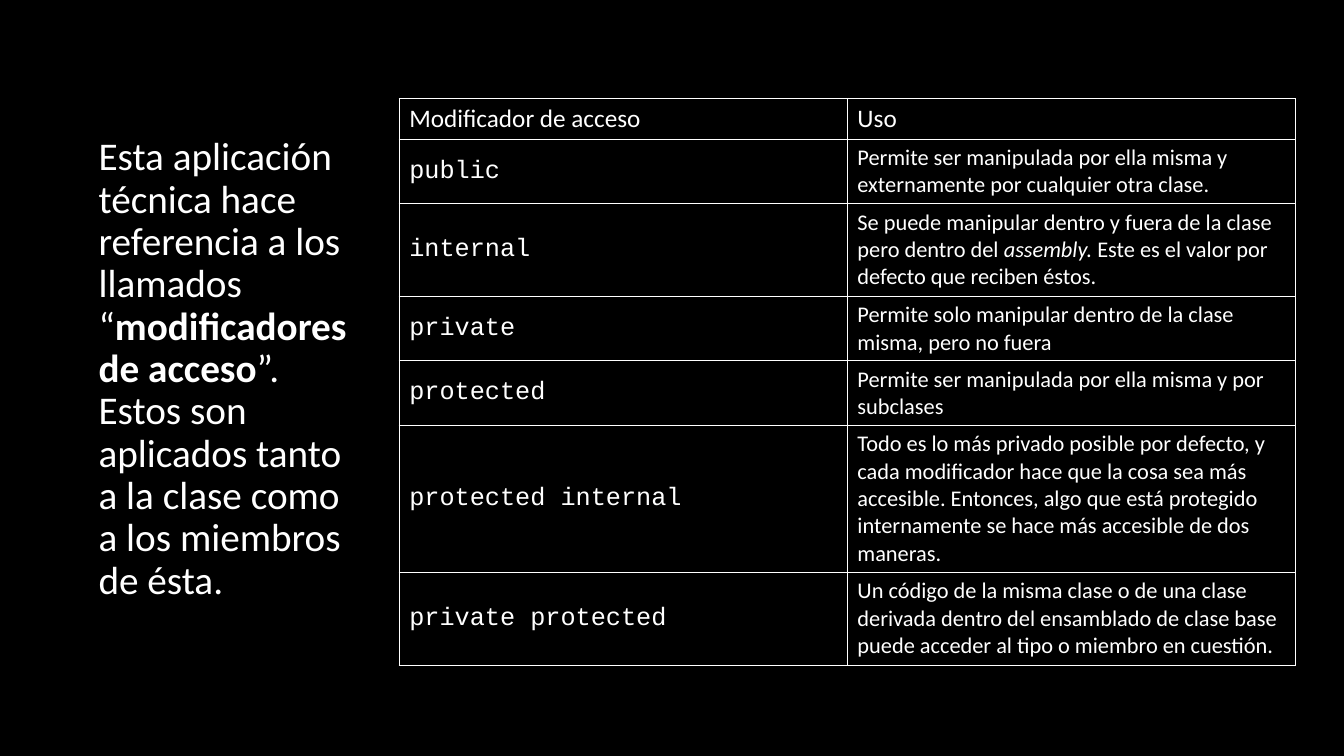
from dataclasses import dataclass

from lxml import etree
from pptx import Presentation
from pptx import util as u
from pptx.dml.color import RGBColor
from pptx.enum import text
from pptx.oxml import ns

BLACK, WHITE = "000000", "FFFFFF"
BODY_FONT, CODE_FONT = "Calibri", "Courier New"


@dataclass(frozen=True)
class Run:
    text: str
    bold: bool = False
    italic: bool = False


@dataclass(frozen=True)
class Modifier:
    keyword: str
    usage: tuple[Run, ...]
    height: float


INTRO = (
    Run("Esta aplicación técnica hace referencia a los llamados “"),
    Run("modificadores de acceso", bold=True),
    Run("”. Estos son aplicados tanto a la clase como a los miembros de ésta."),
)
HEADINGS = ("Modificador de acceso", "Uso")
HEADING_HEIGHT = 0.4
MODIFIERS = (
    Modifier("public", (Run("Permite ser manipulada por ella misma y externamente por cualquier otra clase."),), 0.64),
    Modifier("internal", (
        Run("Se puede manipular dentro y fuera de la clase pero dentro del "),
        Run("assembly. ", italic=True),
        Run("Este es el valor por defecto que reciben éstos."),
    ), 0.92),
    Modifier("private", (Run("Permite solo manipular dentro de la clase misma, pero no fuera"),), 0.64),
    Modifier("protected", (Run("Permite ser manipulada por ella misma y por subclases"),), 0.64),
    Modifier("protected internal", (
        Run("Todo es lo más privado posible por defecto, y cada modificador hace que la cosa sea más "
            "accesible. Entonces, algo que está protegido internamente se hace más accesible de dos maneras."),
    ), 1.46),
    Modifier("private protected", (
        Run("Un código de la misma clase o de una clase derivada dentro del ensamblado de clase base "
            "puede acceder al tipo o miembro en cuestión."),
    ), 0.92),
)


def color(value: str) -> RGBColor:
    return RGBColor.from_string(value)


def write(paragraph, runs: tuple[Run, ...], size: float, font: str = BODY_FONT) -> None:
    paragraph.font.size = u.Pt(size)
    paragraph.font.name = font
    paragraph.font.color.rgb = color(WHITE)
    for part in runs:
        run = paragraph.add_run()
        run.text = part.text
        if part.bold:
            run.font.bold = True
        if part.italic:
            run.font.italic = True


def add_borders(cell) -> None:
    properties = cell._tc.get_or_add_tcPr()
    for position, side in enumerate(("a:lnL", "a:lnR", "a:lnT", "a:lnB")):
        line = etree.Element(ns.qn(side), w=str(u.Pt(1)))
        fill = etree.SubElement(line, ns.qn("a:solidFill"))
        etree.SubElement(fill, ns.qn("a:srgbClr"), val=WHITE)
        properties.insert(position, line)


def fill_cell(cell, runs: tuple[Run, ...], size: float, font: str = BODY_FONT) -> None:
    cell.fill.background()
    add_borders(cell)
    write(cell.text_frame.paragraphs[0], runs, size, font)


def add_intro(slide) -> None:
    frame = slide.shapes.add_textbox(
        u.Inches(0.88), u.Inches(1.31), u.Inches(2.8), u.Inches(4.87)).text_frame
    frame.word_wrap = True
    paragraph = frame.paragraphs[0]
    paragraph.line_spacing = 0.9
    paragraph.space_before = u.Pt(10)
    write(paragraph, INTRO, 28)


def add_modifier_table(slide) -> None:
    heights = [HEADING_HEIGHT, *(modifier.height for modifier in MODIFIERS)]
    table = slide.shapes.add_table(
        len(heights), len(HEADINGS), u.Inches(3.96), u.Inches(0.98),
        u.Inches(8.89), u.Inches(sum(heights))).table
    table.first_row = False
    table.horz_banding = False
    for row, height in zip(table.rows, heights):
        row.height = u.Inches(height)
    for column, heading in enumerate(HEADINGS):
        fill_cell(table.cell(0, column), (Run(heading),), 18)
    for row, modifier in enumerate(MODIFIERS, start=1):
        keyword_cell = table.cell(row, 0)
        fill_cell(keyword_cell, (Run(modifier.keyword),), 18, CODE_FONT)
        keyword_cell.vertical_anchor = text.MSO_ANCHOR.MIDDLE
        fill_cell(table.cell(row, 1), modifier.usage, 16)


def main() -> None:
    presentation = Presentation()
    presentation.slide_width = u.Inches(13.33)
    presentation.slide_height = u.Inches(7.5)
    slide = presentation.slides.add_slide(presentation.slide_layouts[6])
    slide.background.fill.solid()
    slide.background.fill.fore_color.rgb = color(BLACK)
    add_intro(slide)
    add_modifier_table(slide)
    presentation.save("out.pptx")


if __name__ == "__main__":
    main()
